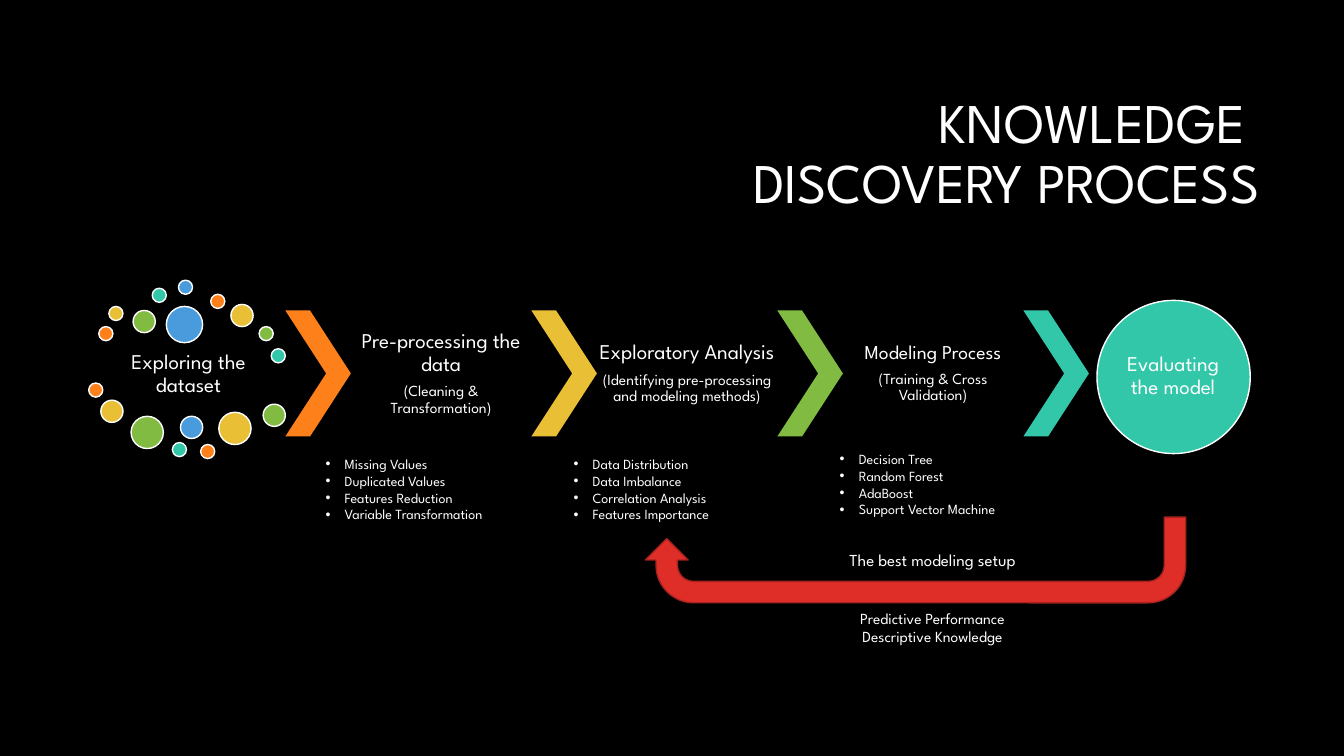
from lxml.etree import SubElement
from pptx import Presentation
from pptx.dml.color import RGBColor
from pptx.enum.shapes import MSO_SHAPE as Preset
from pptx.enum.text import MSO_ANCHOR as Anchor, PP_ALIGN as Align
from pptx.oxml.ns import qn
from pptx.util import Inches, Pt

CELL = 0.1  # inches per grid column and row
FONT = "League Spartan"
COLORS = {
    "black": "000000", "white": "FFFFFF", "orange": "FE801A", "yellow": "E9BF35",
    "green": "81BB42", "teal": "32C7A9", "blue": "4A9BDC",
    "red": "DF2E28", "dark red": "A5221E",
}
DOT_CYCLE = ["orange", "yellow", "green", "teal", "blue"]

# column, row, diameter
DOTS = [
    (9.8, 32.4, 1.4), (10.8, 30.4, 1.4), (13.2, 30.8, 2.2), (15.1, 28.6, 1.4),
    (17.7, 27.8, 1.4), (20.9, 29.2, 1.4), (22.9, 30.2, 2.2), (25.7, 32.4, 1.4),
    (26.9, 34.6, 1.4), (16.5, 30.4, 3.6), (8.8, 38, 1.4), (10, 39.7, 2.2),
    (13, 41.3, 3.2), (17.1, 43.9, 1.4), (17.9, 41.3, 2.2), (19.9, 44.1, 1.4),
    (21.7, 40.9, 3.2), (26.1, 40.1, 2.2),
]

# chevron colour, heading, heading size, note
STAGES = [
    ("orange", "Pre-processing the data", 15, "(Cleaning & Transformation)"),
    ("yellow", "Exploratory Analysis", 15,
     "(Identifying pre-processing and modeling methods)"),
    ("green", "Modeling Process", 14, "(Training & Cross Validation)"),
]
STAGE_LEFT, STAGE_TOP, STAGE_PITCH = 28.3, 30.8, 24.4
CHEVRON_WIDTH, STAGE_HEIGHT = 6.5, 12.5

# column, row, items
BULLET_LISTS = [
    (31.3, 44.7, ["Missing Values", "Duplicated Values", "Features Reduction",
                  "Variable Transformation"]),
    (55.9, 44.7, ["Data Distribution", "Data Imbalance", "Correlation Analysis",
                  "Features Importance"]),
    (82.3, 44.2, ["Decision Tree", "Random Forest", "AdaBoost",
                  "Support Vector Machine"]),
]


def color(name):
    return RGBColor.from_string(COLORS[name])


def cells(*counts):
    return [Inches(count * CELL) for count in counts]


class ProcessSlide:
    def __init__(self, presentation):
        self.slide = presentation.slides.add_slide(presentation.slide_layouts[6])
        self.slide.background.fill.solid()
        self.slide.background.fill.fore_color.rgb = color("black")

    def shape(self, preset, box, fill, line=None):
        shape = self.slide.shapes.add_shape(preset, *cells(*box))
        shape.shadow.inherit = False
        shape.fill.solid()
        shape.fill.fore_color.rgb = color(fill)
        if line:
            shape.line.color.rgb = color(line)
            shape.line.width = Pt(1)
        else:
            shape.line.fill.background()
        return shape

    def circle(self, column, row, diameter, fill):
        self.shape(Preset.OVAL, (column, row, diameter, diameter), fill, "white")

    def chevron(self, column, fill):
        box = (column, STAGE_TOP, CHEVRON_WIDTH, STAGE_HEIGHT)
        self.shape(Preset.CHEVRON, box, fill).adjustments[0] = 0.623

    def text(self, box, lines, align=Align.CENTER, anchor=Anchor.TOP, inset=None,
             spacing=None, bullets=False):
        """Add a text box; each line is (text, size, points of space after)."""
        frame = self.slide.shapes.add_textbox(*cells(*box)).text_frame
        frame.word_wrap = True
        frame.vertical_anchor = anchor
        if inset is not None:
            frame.margin_left = frame.margin_right = Inches(inset)
            frame.margin_top = frame.margin_bottom = Inches(inset)
        for index, (text, size, after) in enumerate(lines):
            paragraph = frame.add_paragraph() if index else frame.paragraphs[0]
            paragraph.text = text
            paragraph.alignment = align
            if bullets:
                self.bullet(paragraph)
            paragraph.line_spacing = spacing
            paragraph.space_after = Pt(after)
            paragraph.font.name = FONT
            paragraph.font.size = Pt(size)
            paragraph.font.color.rgb = color("white")

    def label(self, box, lines, inset=0.02):
        spaced = [(text, size, size * 0.35) for text, size in lines]
        self.text(box, spaced, anchor=Anchor.MIDDLE, inset=inset, spacing=0.9)

    def bullet(self, paragraph):
        properties = paragraph._p.get_or_add_pPr()
        properties.set("marL", str(Inches(0.19)))
        properties.set("indent", str(-Inches(0.19)))
        SubElement(properties, qn("a:buFont")).set("typeface", "Arial")
        SubElement(properties, qn("a:buChar")).set("char", "•")


def main():
    presentation = Presentation()
    presentation.slide_width = Inches(13.33)
    presentation.slide_height = Inches(7.5)
    process = ProcessSlide(presentation)

    process.text((31.7, 8.3, 94.2, 14.2), [("KNOWLEDGE \vDISCOVERY PROCESS", 40, 0)],
                 align=Align.RIGHT, anchor=Anchor.MIDDLE, spacing=0.9)

    process.label((9.8, 34.2, 17.8, 5.9), [("Exploring the dataset", 15)])
    for index, dot in enumerate(DOTS):
        process.circle(*dot, DOT_CYCLE[index % len(DOT_CYCLE)])

    for index, (fill, heading, size, note) in enumerate(STAGES):
        column = STAGE_LEFT + index * STAGE_PITCH
        process.chevron(column, fill)
        box = (column + CHEVRON_WIDTH, STAGE_TOP,
               STAGE_PITCH - CHEVRON_WIDTH, STAGE_HEIGHT)
        process.label(box, [(heading, size), (note, 11)])
    process.chevron(STAGE_LEFT + len(STAGES) * STAGE_PITCH, "teal")

    process.circle(108.8, 29.8, 15.2, "teal")
    process.label((111, 32, 10.7, 10.7), [("Evaluating the model", 15)], inset=0)

    feedback = process.shape(Preset.U_TURN_ARROW, (64, 51.3, 53.6, 8.5),
                             "red", "dark red")
    feedback.rotation = 180
    process.text((77.3, 54, 30.4, 11.1), [
        ("The best modeling setup", 12, 28),
        ("Predictive Performance", 11, 0),
        ("Descriptive Knowledge", 11, 0),
    ])

    for column, row, items in BULLET_LISTS:
        process.text((column, row, 20.5, 7.7), [(item, 10, 0) for item in items],
                     align=Align.JUSTIFY, bullets=True)

    presentation.save("out.pptx")


if __name__ == "__main__":
    main()
